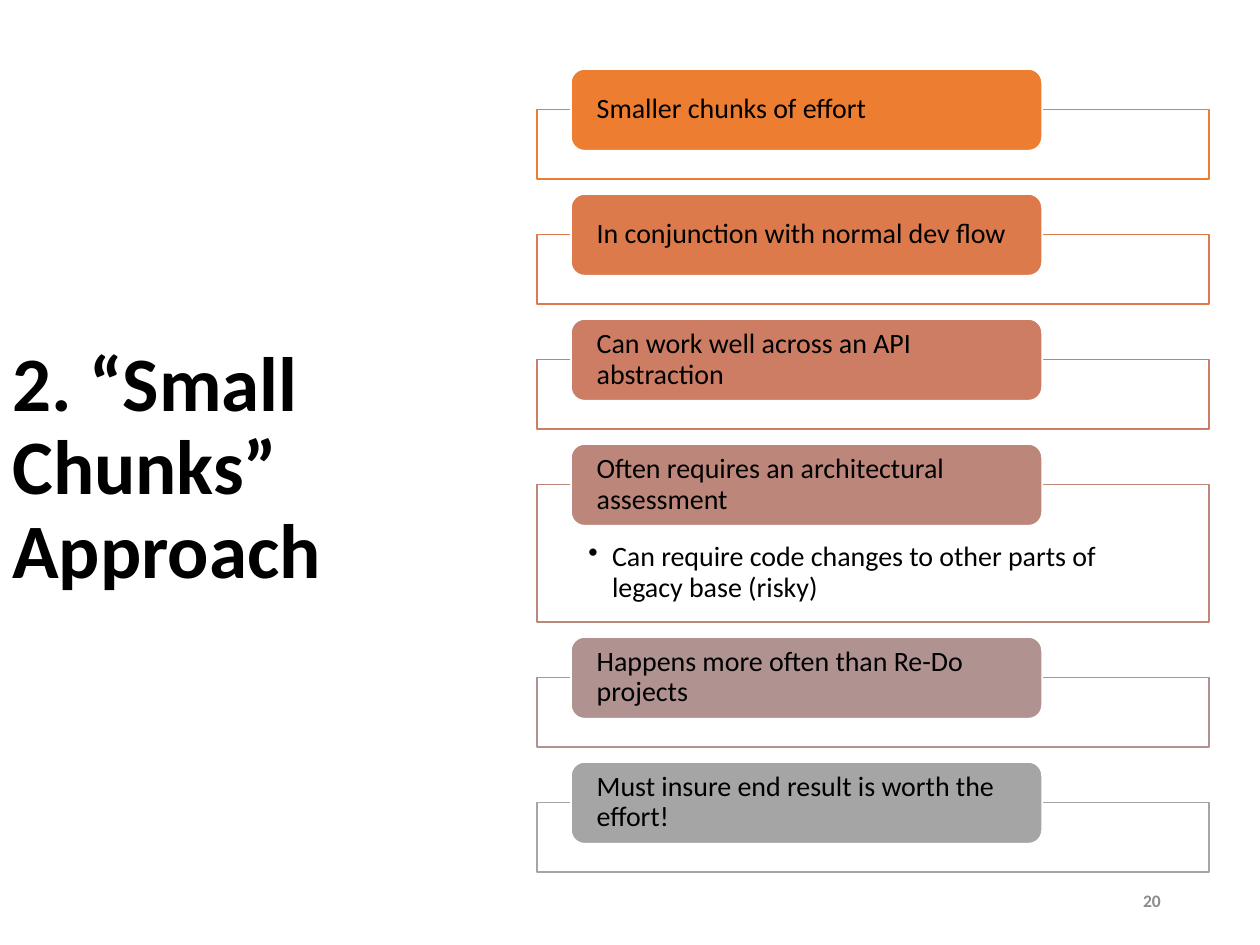
from dataclasses import dataclass

from lxml.etree import SubElement
from pptx import Presentation
from pptx.dml.color import RGBColor
from pptx.enum.shapes import MSO_SHAPE as Preset
from pptx.enum.text import MSO_ANCHOR as Anchor, MSO_AUTO_SIZE as AutoSize, PP_ALIGN as Align
from pptx.oxml.ns import qn
from pptx.util import Cm, Pt


@dataclass(frozen=True)
class Theme:
    font: str = "Calibri"
    text: str = "000000"
    muted: str = "8C8C8C"
    paper: str = "FFFFFF"
    title_size: int = 44
    body_size: int = 16
    number_size: int = 10
    line_width: int = 1


THEME = Theme()
TITLE = "2. “Small Chunks” Approach"
SLIDE_NUMBER = "20"
# label, colour, detail
POINTS = [
    ("Smaller chunks of effort", "ED7D31", None),
    ("In conjunction with normal dev flow", "DC7A4B", None),
    ("Can work well across an API abstraction", "CC7D64", None),
    ("Often requires an architectural assessment", "BD867B",
     "Can require code changes to other parts of legacy base (risky)"),
    ("Happens more often than Re-Do projects", "B09391", None),
    ("Must insure end result is worth the effort!", "A5A5A5", None),
]

# Layout in centimetres
FRAME_LEFT, FRAME_TOP, FRAME_WIDTH = 10.82, 2.21, 13.56
FRAME_HEIGHT, DETAIL_FRAME_HEIGHT, FRAME_GAP = 1.4, 2.77, 1.12
LABEL_LEFT, LABEL_WIDTH, LABEL_HEIGHT, LABEL_RISE = 11.51, 9.5, 1.65, 0.82
BULLET_INDENT = 0.48


def write(shape, text, size, color=THEME.text, bold=False, align=Align.LEFT,
          anchor=Anchor.MIDDLE, spacing=0.9, margins=(0.25, 0.13, 0.25, 0.13)):
    """Set the shape's text; margins are left, top, right, bottom in cm."""
    frame = shape.text_frame
    frame.text = text
    frame.word_wrap = True
    frame.auto_size = AutoSize.NONE
    frame.vertical_anchor = anchor
    (frame.margin_left, frame.margin_top,
     frame.margin_right, frame.margin_bottom) = map(Cm, margins)
    paragraph = frame.paragraphs[0]
    paragraph.alignment = align
    paragraph.line_spacing = spacing
    font = paragraph.runs[0].font
    font.name, font.size, font.bold = THEME.font, Pt(size), bold
    font.color.rgb = RGBColor.from_string(color)
    return paragraph


def add_bullet(paragraph):
    properties = paragraph._p.get_or_add_pPr()
    properties.set("marL", str(Cm(BULLET_INDENT)))
    properties.set("indent", str(-Cm(BULLET_INDENT)))
    SubElement(properties, qn("a:buChar"), char="•")


def add_panel(slide, preset, box, fill, line):
    shape = slide.shapes.add_shape(preset, *map(Cm, box))
    shape.shadow.inherit = False
    shape.fill.solid()
    shape.fill.fore_color.rgb = RGBColor.from_string(fill)
    shape.line.color.rgb = RGBColor.from_string(line)
    shape.line.width = Pt(THEME.line_width)
    return shape


def add_point(slide, top, height, label, color, detail):
    frame = add_panel(slide, Preset.RECTANGLE,
                      (FRAME_LEFT, top, FRAME_WIDTH, height), THEME.paper, color)
    if detail:
        add_bullet(write(frame, detail, THEME.body_size, anchor=Anchor.TOP,
                         margins=(1.04, 1.17, 1.04, 0.3)))
    tab = add_panel(slide, Preset.ROUNDED_RECTANGLE,
                    (LABEL_LEFT, top - LABEL_RISE, LABEL_WIDTH, LABEL_HEIGHT),
                    color, THEME.paper)
    write(tab, label, THEME.body_size, margins=(0.44, 0, 0.44, 0))


def main():
    presentation = Presentation()
    presentation.slide_width, presentation.slide_height = Cm(25.4), Cm(19.05)
    slide = presentation.slides.add_slide(presentation.slide_layouts[5])

    title = slide.shapes.title
    title.left, title.top, title.width, title.height = map(Cm, (0, 2.82, 7.11, 13.31))
    write(title, TITLE, THEME.title_size, bold=True)

    top = FRAME_TOP
    for label, color, detail in POINTS:
        height = DETAIL_FRAME_HEIGHT if detail else FRAME_HEIGHT
        add_point(slide, top, height, label, color, detail)
        top += height + FRAME_GAP

    number = slide.shapes.add_textbox(*map(Cm, (22.35, 17.65, 1.3, 1.02)))
    paragraph = write(number, SLIDE_NUMBER, THEME.number_size, THEME.muted,
                      bold=True, align=Align.RIGHT, spacing=1.0)
    paragraph.space_after = Pt(6)

    presentation.save("out.pptx")


if __name__ == "__main__":
    main()
